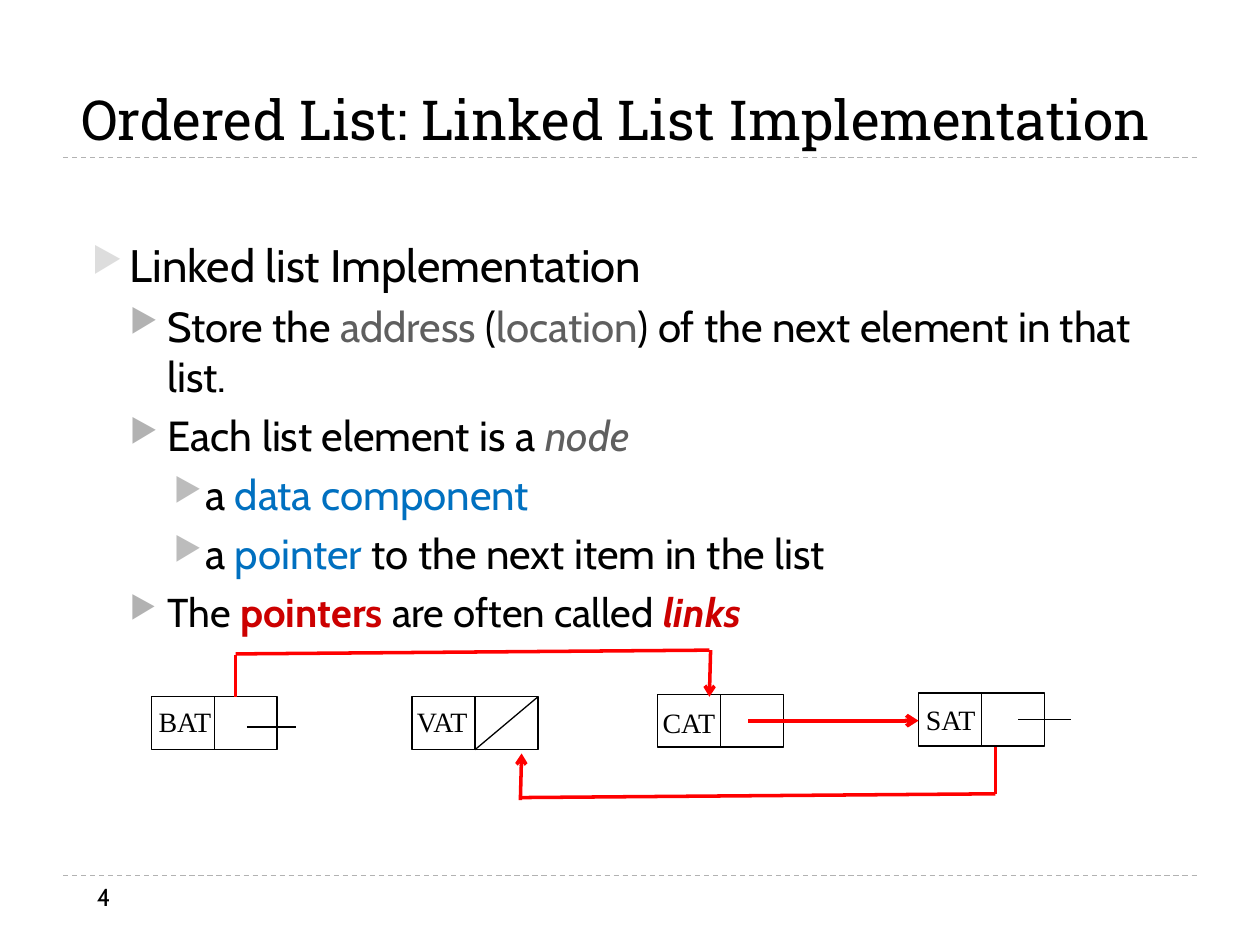
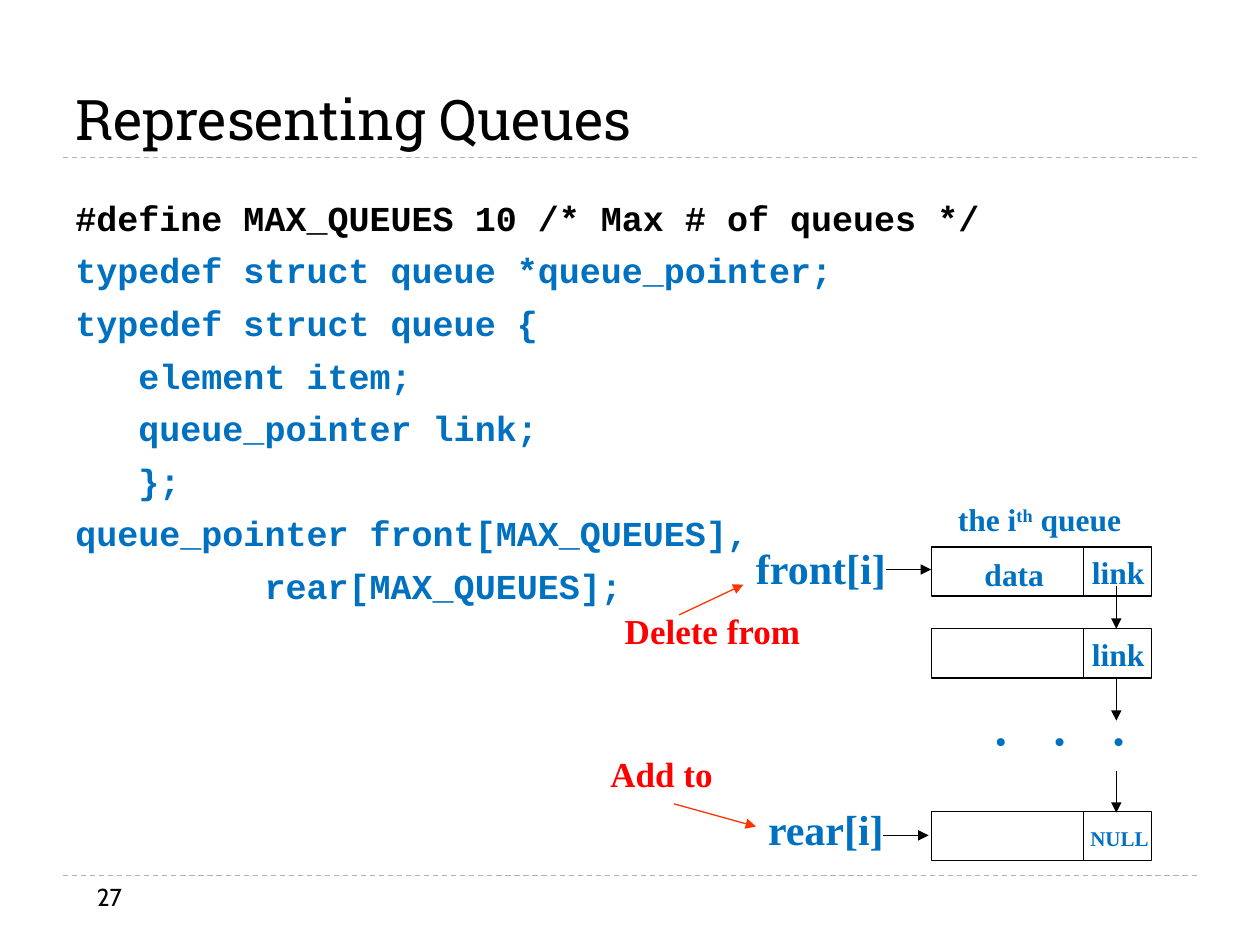
from typing import NamedTuple

from lxml.etree import SubElement
from pptx import Presentation
from pptx.dml.color import RGBColor
from pptx.enum.dml import MSO_LINE
from pptx.enum.shapes import MSO_CONNECTOR, MSO_SHAPE
from pptx.enum.text import MSO_ANCHOR, MSO_AUTO_SIZE, PP_ALIGN
from pptx.oxml.ns import qn
from pptx.util import Inches, Pt

BLACK, GREY, BLUE = "000000", "5F5F5F", "0070C0"
RED, CRIMSON, ORANGE = "FF0000", "CC0000", "FF3300"
RULE = "B2B2B2"
HEAD, BODY, CODE, SERIF = "Roboto Slab", "Cabin", "Courier New", "Times New Roman"


class Bit(NamedTuple):
    text: str
    hue: str = BLACK
    bold: bool = False
    slant: bool = False
    rise: int = 0


class Para(NamedTuple):
    bits: list[Bit]
    size: float
    font: str
    gap: float = 0
    depth: int | None = None


class Box(NamedTuple):
    left: float
    top: float
    width: float
    height: float


class Link(NamedTuple):
    x1: float
    y1: float
    x2: float
    y2: float
    hue: str = BLACK
    width: float = 0.75
    tip: str = ""


class Node(NamedTuple):
    left: float
    top: float
    word: str
    word_left: float
    word_top: float


class Level(NamedTuple):
    left: float
    hang: float
    hue: str


class Label(NamedTuple):
    text: str
    box: Box
    size: float
    hue: str = BLUE


LEVELS = [Level(0.3, 0.3, "DDDDDD"), Level(0.6, 0.3, "B2B2B2"), Level(0.9, 0.25, "BCBCBC")]


def paint(code: str) -> RGBColor:
    return RGBColor.from_string(code)


def mark(para, level: Level) -> None:
    props = para._p.get_or_add_pPr()
    props.set("marL", str(Inches(level.left)))
    props.set("indent", str(-Inches(level.hang)))
    SubElement(SubElement(props, qn("a:buClr")), qn("a:srgbClr"), val=level.hue)
    SubElement(props, qn("a:buSzPct"), val="76000")
    SubElement(props, qn("a:buChar"), char="▶")


def write(slide, box: Box, paras: list[Para], align=PP_ALIGN.LEFT,
          anchor=MSO_ANCHOR.TOP, wrap: bool = True, grow: bool = False):
    frame = slide.shapes.add_textbox(*map(Inches, box)).text_frame
    frame.word_wrap = wrap
    frame.vertical_anchor = anchor
    frame.auto_size = MSO_AUTO_SIZE.SHAPE_TO_FIT_TEXT if grow else MSO_AUTO_SIZE.NONE
    for index, item in enumerate(paras):
        para = frame.add_paragraph() if index else frame.paragraphs[0]
        if item.depth is not None:
            para.level = item.depth
            mark(para, LEVELS[item.depth])
        para.alignment = align
        para.space_before = Pt(item.gap if index else 0)
        for bit in item.bits:
            run = para.add_run()
            run.text = bit.text
            font = run.font
            font.name, font.size = item.font, Pt(item.size)
            font.bold, font.italic = bit.bold, bit.slant
            font.color.rgb = paint(bit.hue)
            if bit.rise:
                run._r.get_or_add_rPr().set("baseline", str(bit.rise * 1000))
    return frame


def join(slide, link: Link, dash: bool = False) -> None:
    ends = map(Inches, (link.x1, link.y1, link.x2, link.y2))
    shape = slide.shapes.add_connector(MSO_CONNECTOR.STRAIGHT, *ends)
    shape.line.color.rgb = paint(link.hue)
    shape.line.width = Pt(link.width)
    if dash:
        shape.line.dash_style = MSO_LINE.DASH
    props = shape._element.spPr
    if link.tip:
        SubElement(props.find(qn("a:ln")), qn("a:tailEnd"), type=link.tip)
    SubElement(props, qn("a:effectLst"))


def block(slide, box: Box) -> None:
    shape = slide.shapes.add_shape(MSO_SHAPE.RECTANGLE, *map(Inches, box))
    shape.shadow.inherit = False
    shape.fill.background()
    shape.line.color.rgb = paint(BLACK)
    shape.line.width = Pt(0.75)


def tag(slide, label: Label, fixed: bool = False):
    para = Para([Bit(label.text, label.hue, True)], label.size, SERIF)
    anchor = MSO_ANCHOR.MIDDLE if fixed else MSO_ANCHOR.TOP
    return write(slide, label.box, [para], PP_ALIGN.CENTER, anchor, not fixed, not fixed)


def start(deck, title: str, box: Box, size: float, page: int):
    slide = deck.slides.add_slide(deck.slide_layouts[6])
    for y in (6.95, 1.25):
        join(slide, Link(0.5, y, 9.5, y, RULE), True)
    write(slide, box, [Para([Bit(title)], size, HEAD)], anchor=MSO_ANCHOR.BOTTOM)
    write(slide, Box(0.67, 6.95, 2.17, 0.4), [Para([Bit(str(page))], 14, BODY)])
    return slide


def draw_node(slide, node: Node) -> None:
    mid = node.left + 0.5
    block(slide, Box(node.left, node.top, 1, 0.42))
    join(slide, Link(mid, node.top, mid, node.top + 0.42))
    write(slide, Box(node.word_left, node.word_top, 0.62, 0.37),
          [Para([Bit(node.word)], 16, SERIF)], wrap=False, grow=True)


def list_slide(deck) -> None:
    slide = start(deck, "Ordered List: Linked List Implementation",
                  Box(0.55, 0, 9, 1.25), 31.5, 4)
    points = [
        (0, 26, [Bit("Linked list Implementation")]),
        (1, 24, [Bit("Store the "), Bit("address", GREY), Bit(" ("), Bit("location", GREY),
                 Bit(") of the next element in that list.")]),
        (1, 24, [Bit("Each list element is a "), Bit("node", GREY, slant=True)]),
        (2, 24, [Bit("a "), Bit("data component", BLUE)]),
        (2, 24, [Bit("a "), Bit("pointer ", BLUE), Bit("to the next item in the list")]),
        (1, 23, [Bit("The "), Bit("pointers", CRIMSON, True), Bit(" are often called "),
                 Bit("links", CRIMSON, True, True)]),
    ]
    write(slide, Box(0.63, 1.83, 8.98, 5.41),
          [Para(bits, size, BODY, 5, depth) for depth, size, bits in points])
    nodes = [
        Node(3.27, 5.53, "VAT", 3.21, 5.54),
        Node(5.22, 5.51, "CAT", 5.16, 5.55),
        Node(1.2, 5.53, "BAT", 1.16, 5.54),
        Node(7.29, 5.5, "SAT", 7.25, 5.53),
    ]
    for node in nodes:
        draw_node(slide, node)
    links = [
        Link(4.27, 5.53, 3.77, 5.95),
        Link(6.02, 5.73, 6.44, 5.73),
        Link(1.96, 5.77, 2.35, 5.77),
        Link(8.08, 5.71, 8.5, 5.71),
        Link(5.64, 5.16, 5.63, 5.53, RED, 2, "arrow"),
        Link(1.87, 5.2, 1.87, 5.53, RED, 2),
        Link(1.87, 5.19, 5.63, 5.16, RED, 2),
        Link(5.94, 5.72, 7.29, 5.72, RED, 2.25, "arrow"),
        Link(4.13, 6.35, 4.14, 5.98, RED, 2, "arrow"),
        Link(7.9, 5.93, 7.9, 6.3, RED, 2),
        Link(4.14, 6.33, 7.9, 6.3, RED, 2),
    ]
    for link in links:
        join(slide, link)


def queue_slide(deck) -> None:
    slide = start(deck, "Representing Queues", Box(0.5, 0.17, 9, 1.08), 32, 27)
    lines = [
        "#define MAX_QUEUES 10 /* Max # of queues */",
        "typedef struct queue *queue_pointer;",
        "typedef struct queue {",
        "   element item;",
        "   queue_pointer link;",
        "   };",
        "queue_pointer front[MAX_QUEUES],",
        "         rear[MAX_QUEUES];",
    ]
    write(slide, Box(0.5, 1.51, 9, 3.75),
          [Para([Bit(line, BLUE if row else BLACK, True)], 20, CODE, 6)
           for row, line in enumerate(lines)])
    for top in (4.34, 4.99, 6.44):
        block(slide, Box(7.39, top, 1.21, 0.39))
        block(slide, Box(8.6, top, 0.54, 0.39))
    labels = [
        Label("data", Box(7.65, 4.36, 0.8, 0.4), 18),
        Label("link", Box(8.5, 4.34, 0.75, 0.4), 18),
        Label("link", Box(8.5, 4.99, 0.75, 0.4), 18),
        Label("NULL", Box(8.53, 6.5, 0.71, 0.3), 12),
        Label("Add to", Box(4.49, 5.92, 1.52, 0.44), 20, RED),
        Label("Delete from", Box(4.38, 4.79, 2.55, 0.44), 20, RED),
    ]
    for label in labels:
        tag(slide, label)
    tag(slide, Label("front[i]", Box(6.04, 4.33, 0.95, 0.35), 24), True)
    tag(slide, Label("rear[i]", Box(6.08, 6.4, 0.95, 0.35), 24), True)
    dots = tag(slide, Label("...", Box(8.62, 5.75, 0.67, 0.34), 28))
    dots._txBody.bodyPr.set("vert", "eaVert")
    name = [Bit("the i", BLUE, True), Bit("th", BLUE, True, rise=30), Bit(" queue", BLUE, True)]
    write(slide, Box(7.31, 3.92, 1.88, 0.4), [Para(name, 18, SERIF)],
          PP_ALIGN.CENTER, grow=True)
    arrows = [
        (8.86, 4.65, 8.86, 4.99, BLACK),
        (8.86, 5.38, 8.86, 5.72, BLACK),
        (8.86, 6.12, 8.86, 6.45, BLACK),
        (7.03, 4.52, 7.39, 4.52, BLACK),
        (7.01, 6.63, 7.37, 6.63, BLACK),
        (5.35, 6.38, 6, 6.56, ORANGE),
        (5.39, 4.88, 5.9, 4.64, ORANGE),
    ]
    for arrow in arrows:
        join(slide, Link(*arrow, tip="triangle"))


def main() -> None:
    deck = Presentation()
    deck.slide_width, deck.slide_height = Inches(10), Inches(7.5)
    list_slide(deck)
    queue_slide(deck)
    deck.save("out.pptx")


if __name__ == "__main__":
    main()
